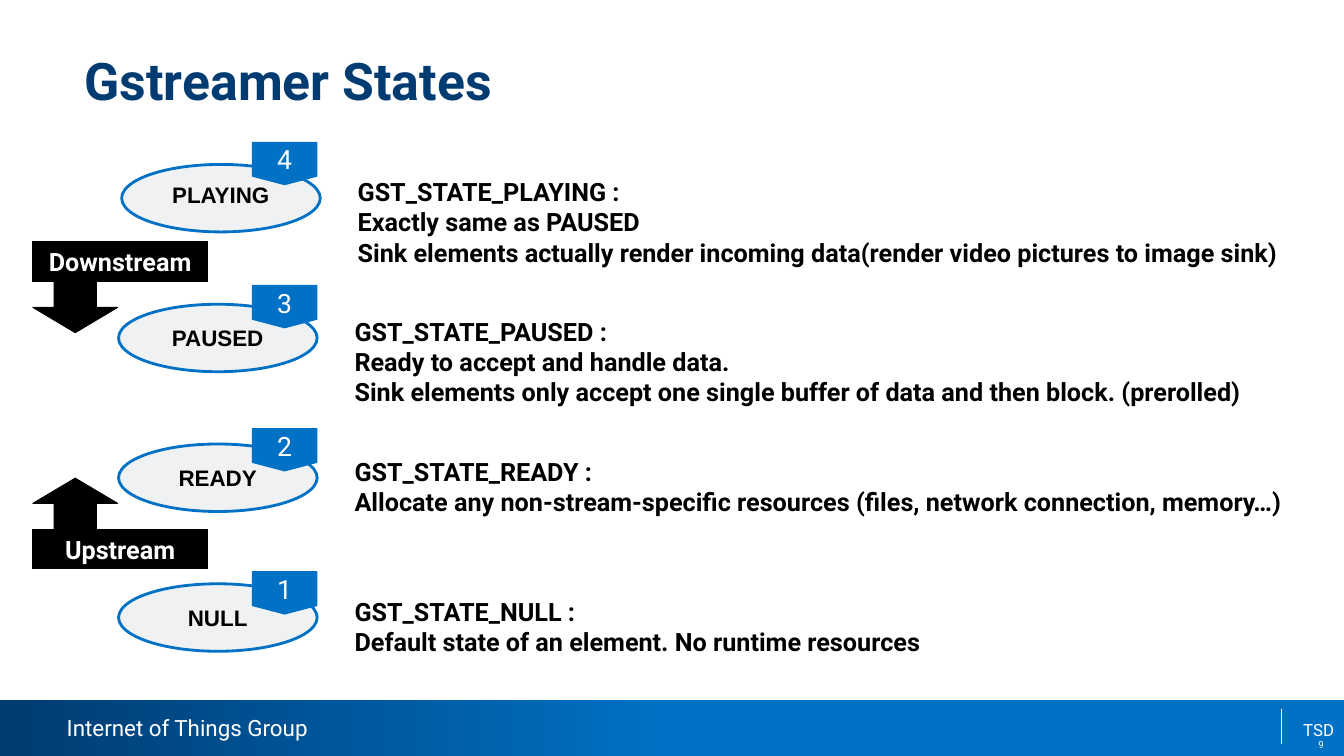
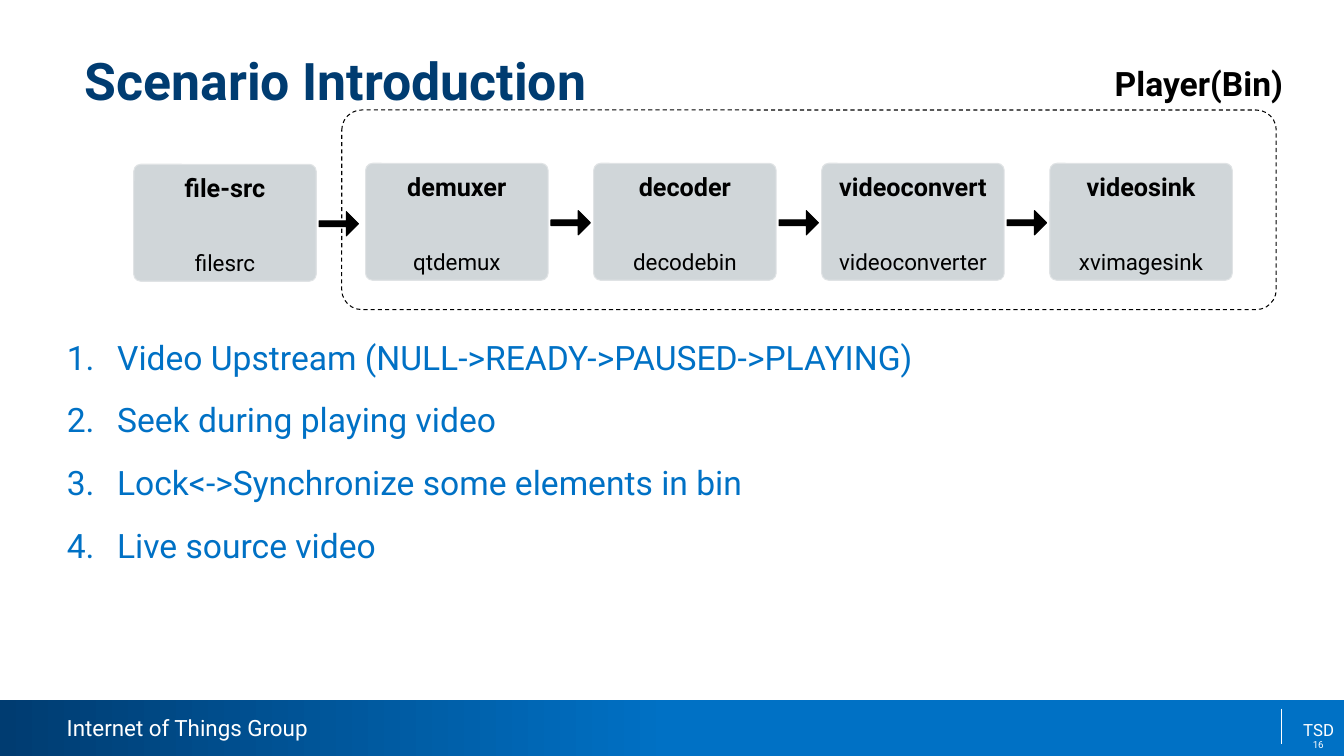
from lxml.etree import SubElement
from pptx import Presentation
from pptx.dml.color import RGBColor
from pptx.enum.dml import MSO_LINE
from pptx.enum.shapes import MSO_CONNECTOR, MSO_SHAPE
from pptx.enum.text import MSO_ANCHOR, PP_ALIGN
from pptx.oxml.ns import qn
from pptx.util import Inches, Pt

COLORS = {
    "navy": "003C71", "blue": "0071C5", "pale": "EFF1F2", "gray": "D0D6D9",
    "edge": "E0E3E5", "black": "000000", "white": "FFFFFF",
}
COLORS = {name: RGBColor.from_string(value) for name, value in COLORS.items()}

deck = Presentation()
deck.slide_width, deck.slide_height = Inches(13.3333), Inches(7.5)

# The grid has 100 columns and 100 rows
COLUMN, ROW = deck.slide_width / 100, deck.slide_height / 100


def add_box(page, preset, left, top, width, height, fill=None, line=None, weight=0.75):
    """Add a preset shape, or a text box when preset is None, placed on the grid."""
    area = [int(left * COLUMN), int(top * ROW), int(width * COLUMN), int(height * ROW)]
    if preset is None:
        return page.shapes.add_textbox(*area)
    box = page.shapes.add_shape(preset, *area)
    box.shadow.inherit = False
    if fill:
        box.fill.solid()
        box.fill.fore_color.rgb = COLORS[fill]
    else:
        box.fill.background()
    if line:
        box.line.color.rgb = COLORS[line]
        box.line.width = Pt(weight)
    else:
        box.line.fill.background()
    return box


def write_text(box, text, size=18, color="black", bold=False, font="Roboto",
               align=PP_ALIGN.LEFT, anchor=MSO_ANCHOR.TOP, inset=True, gap=0):
    """Write one paragraph per line of text, with gap points between them."""
    frame = box.text_frame
    frame.word_wrap = True
    frame.vertical_anchor = anchor
    if not inset:
        frame.margin_left = frame.margin_right = frame.margin_top = frame.margin_bottom = 0
    for index, line in enumerate(text.split("\n")):
        para = frame.add_paragraph() if index else frame.paragraphs[0]
        para.alignment = align
        para.space_before = Pt(gap if index else 0)
        span = para.add_run()
        span.text = line
        span.font.name, span.font.size, span.font.bold = font, Pt(size), bold
        span.font.color.rgb = COLORS[color]


# Placeholder positions, inherited by both pages
master = deck.slide_master
areas = [(6.3, 6.4, 90, 16.93), (4.97, 44.53, 90, 45.47)]
for holder, (left, top, width, height) in zip(master.placeholders, areas):
    holder.left, holder.top = int(left * COLUMN), int(top * ROW)
    holder.width, holder.height = int(width * COLUMN), int(height * ROW)

# Pages with title and number
title_and_content, title_only = deck.slide_layouts[1], deck.slide_layouts[5]
states_page = deck.slides.add_slide(title_only)
scenario_page = deck.slides.add_slide(title_and_content)

# Footer, built once and moved to the master
band = add_box(states_page, MSO_SHAPE.RECTANGLE, 0, 92.53, 100, 7.47)
band.fill.gradient()
band.fill.gradient_angle = 0
for stop, position, color in zip(band.fill.gradient_stops, (0, 0.5), ("navy", "blue")):
    stop.position = position
    stop.color.rgb = COLORS[color]
divider = states_page.shapes.add_connector(
    MSO_CONNECTOR.STRAIGHT, int(95.36 * COLUMN), int(93.73 * ROW),
    int(95.36 * COLUMN), int(98.4 * ROW))
divider.line.color.rgb = COLORS["white"]
divider.line.width = Pt(0.75)
SubElement(divider.element.spPr, qn("a:effectLst"))
group_name = add_box(states_page, None, 4.97, 94.5, 18.75, 3.6)
write_text(group_name, "Internet of Things Group", size=16, color="white", inset=False)
team = add_box(states_page, None, 92.5, 94.53, 7.5, 4)
write_text(team, "TSD", size=12, color="white", align=PP_ALIGN.RIGHT)
for number, part in enumerate((band, divider, group_name, team), start=101):
    part.element.xpath(".//p:cNvPr")[0].set("id", str(number))
    master.shapes.element.append(part.element)

for page, title, number in [(states_page, "Gstreamer States", "9"),
                            (scenario_page, "Scenario Introduction", "16")]:
    write_text(page.shapes.title, title, size=37, color="navy", bold=True, inset=False)
    number_box = add_box(page, None, 75.9, 97.07, 23.33, 2.67)
    write_text(number_box, number, size=7, color="white", align=PP_ALIGN.RIGHT)

# States, from the top row down: name, description, shift to the right, label drop
STATES = [
    ("PLAYING", "Exactly same as PAUSED\nSink elements actually render incoming data"
     "(render video pictures to image sink)", 0.23, 1.6),
    ("PAUSED", "Ready to accept and handle data.\nSink elements only accept one single "
     "buffer of data and then block. (prerolled)", 0, 2),
    ("READY", "Allocate any non-stream-specific resources "
     "(files, network connection, memory…)", 0, 2),
    ("NULL", "Default state of an element. No runtime resources", 0, 2),
]
for index, (name, description, shift, drop) in enumerate(STATES):
    top = 21.75 + 18.49 * index
    add_box(states_page, MSO_SHAPE.OVAL, 8.82 + shift, top, 14.78, 8.93,
            fill="pale", line="blue", weight=2)
    label = add_box(states_page, None, 7.35 + shift, top + drop, 17.7, 4.93)
    write_text(label, name, size=16, bold=True, font="Arial", align=PP_ALIGN.CENTER)
    details = add_box(states_page, None, 26.38 + shift, top + 1.6, 73, 5.87)
    write_text(details, f"GST_STATE_{name} :\n{description}", bold=True, inset=False)
    badge = add_box(states_page, MSO_SHAPE.FLOWCHART_OFFPAGE_CONNECTOR,
                    18.78, 18.83 + 18.93 * index, 4.8, 5.6, fill="blue", line="blue")
    write_text(badge, str(len(STATES) - index), size=19, color="white",
               align=PP_ALIGN.CENTER, anchor=MSO_ANCHOR.MIDDLE)

# Directions
for name, preset, arrow_top, label_top in [
        ("Downstream", MSO_SHAPE.DOWN_ARROW, 37.33, 32),
        ("Upstream", MSO_SHAPE.UP_ARROW, 63.25, 70.05)]:
    add_box(states_page, preset, 2.45, arrow_top, 6.3, 6.67, fill="black", line="black")
    label = add_box(states_page, MSO_SHAPE.RECTANGLE, 2.45, label_top, 12.98, 5.2,
                    fill="black", line="black")
    write_text(label, name, color="white", bold=True,
               align=PP_ALIGN.CENTER, anchor=MSO_ANCHOR.MIDDLE)

# Numbered scenarios
scenarios = scenario_page.placeholders[1]
write_text(scenarios, "Video Upstream (NULL->READY->PAUSED->PLAYING)\n"
           "Seek during playing video\nLock<->Synchronize some elements in bin\n"
           "Live source video", size=24, color="blue", inset=False, gap=16)
for para in scenarios.text_frame.paragraphs:
    properties = para._p.get_or_add_pPr()
    properties.set("marL", str(Inches(0.5)))
    properties.set("indent", str(-Inches(0.5)))
    SubElement(properties, qn("a:buFont"), typeface="Roboto")
    SubElement(properties, qn("a:buAutoNum"), type="arabicPeriod")

# Player bin
player_bin = add_box(scenario_page, MSO_SHAPE.ROUNDED_RECTANGLE,
                     25.43, 14.55, 69.53, 26.4, line="black")
player_bin.adjustments[0] = 0.1
player_bin.line.dash_style = MSO_LINE.DASH
bin_name = add_box(scenario_page, None, 82.2, 8.27, 14, 4.67)
write_text(bin_name, "Player(Bin)", size=24, bold=True, align=PP_ALIGN.CENTER, inset=False)

# Pipeline: the source stands outside the bin, slightly apart from the others
ELEMENTS = [("file-src", "filesrc"), ("demuxer", "qtdemux"), ("decoder", "decodebin"),
            ("videoconvert", "videoconverter"), ("videosink", "xvimagesink")]
for index, (role, plugin) in enumerate(ELEMENTS):
    left, top = (27.2 + 16.97 * (index - 1), 21.6) if index else (9.95, 21.73)
    element_box = add_box(scenario_page, MSO_SHAPE.ROUNDED_RECTANGLE,
                          left, top, 13.58, 15.47, fill="gray", line="edge")
    element_box.adjustments[0] = 0.06
    role_box = add_box(scenario_page, None, left, top + 1.07, 13.58, 4.67)
    write_text(role_box, role, bold=True, align=PP_ALIGN.CENTER, inset=False)
    plugin_box = add_box(scenario_page, None, left, top + 11.2, 13.58, 3.73)
    write_text(plugin_box, plugin, size=16, align=PP_ALIGN.CENTER, inset=False)
    if index < len(ELEMENTS) - 1:
        arrow = add_box(scenario_page, MSO_SHAPE.RIGHT_ARROW, left + 13.8, top + 6.27,
                        2.93, 3.2, fill="black", line="black")
        arrow.adjustments[0] = 0.24

deck.save("out.pptx")
